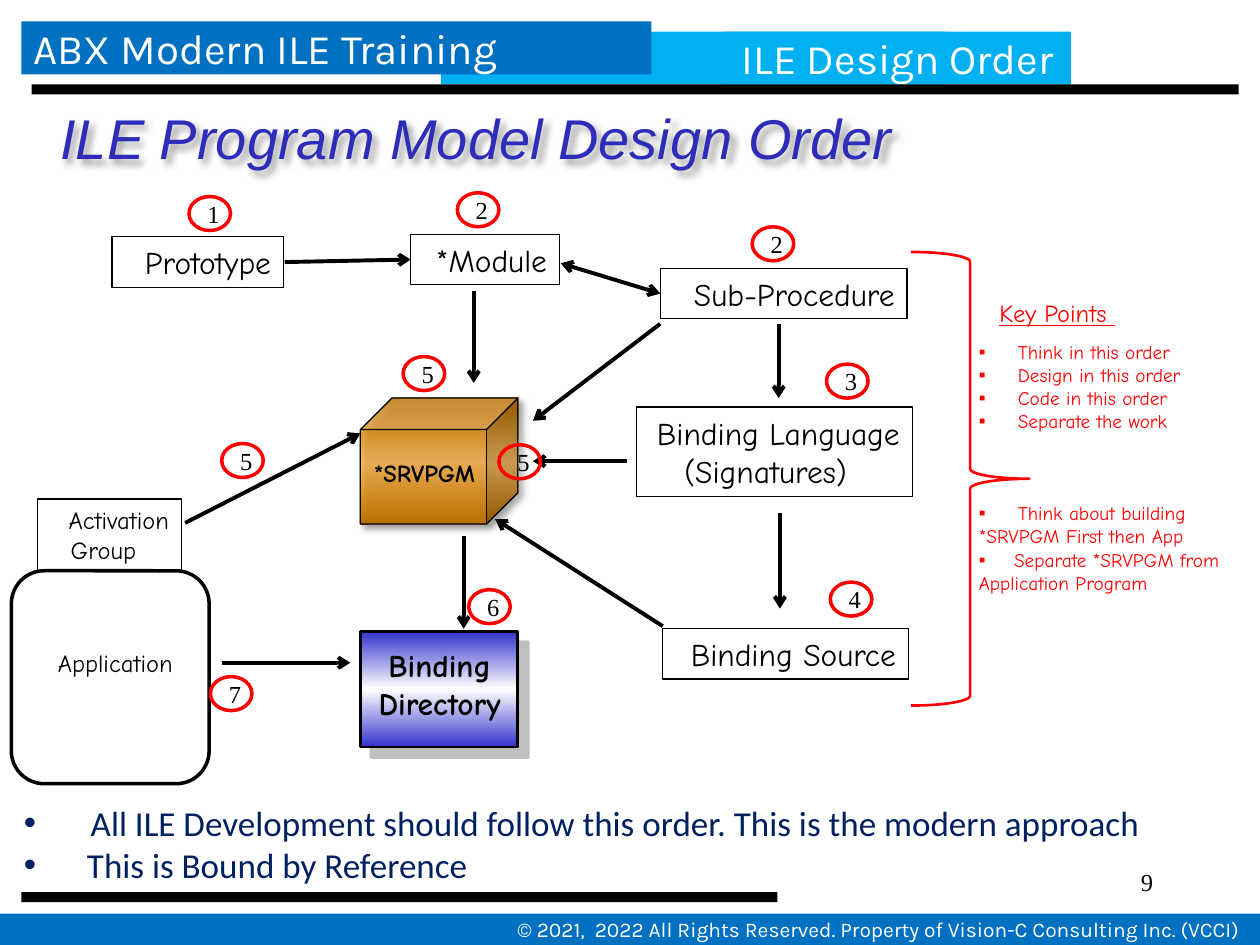
"""Builds the slide on the ILE program model design order."""
import lxml.etree
import pptx
import pptx.dml.color
import pptx.enum.shapes
import pptx.enum.text
import pptx.oxml
import pptx.oxml.ns
import pptx.util

KIND = pptx.enum.shapes.MSO_SHAPE
ALIGN = pptx.enum.text.PP_ALIGN
ANCHOR = pptx.enum.text.MSO_ANCHOR
Inches = pptx.util.Inches
Pt = pptx.util.Pt
LEFT, MID, RIGHT = ALIGN.LEFT, ALIGN.CENTER, ALIGN.RIGHT
COMIC, KARLA, TIMES = "Comic Neue", "Karla", "Times New Roman"
BLACK, WHITE, RED, NAVY, BLUE, SKY = "000000", "FFFFFF", "FF0000", "002060", "0070C0", "00B0F0"

TITLE = "ILE Program Model Design Order"
NOTES = [("All ILE Development should follow this order. This is the modern approach", 0.53),
         ("This is Bound by Reference", 0.5)]
BARS = [
    ((0, 7.25, 10, 0.25), BLUE, "© 2021,  2022 All Rights Reserved. Property of Vision-C Consulting Inc. (VCCI)", 12, RIGHT),
    ((0.17, 7.08, 6, 0.08), BLACK, "", 12, LEFT),
    ((3.5, 0.25, 4, 0.42), SKY, "", 24, LEFT),
    ((0.17, 0.17, 5, 0.42), BLUE, "ABX Modern ILE Training", 24, LEFT),
    ((5.75, 0.25, 2.75, 0.42), SKY, "ILE Design Order", 24, MID),
    ((0.25, 0.67, 9.58, 0.08), BLACK, "", 12, LEFT),
]
STEPS = [
    ((0.89, 1.88, 1.36, 0.4), [("Prototype", 0)], 18),
    ((3.26, 1.86, 1.18, 0.4), [("*Module", 0)], 18),
    ((5.24, 2.13, 1.96, 0.4), [("Sub-Procedure", 0)], 18),
    ((5.05, 3.23, 2.19, 0.71), [("Binding Language", 0), ("(Signatures)", 0.42)], 18),
    ((5.26, 4.99, 1.95, 0.4), [("Binding Source", 0)], 18),
    ((0.3, 3.96, 1.14, 0.57), [("Activation", 0), ("Group", 0.26)], 14),
]
LABELS = [
    ((7.17, 6.83, 2.08, 0.34), ["9"], 14, TIMES, BLACK, RIGHT, {}),
    ((0.25, 5.09, 1.22, 0.34), ["Application"], 14, COMIC, BLACK, RIGHT, {}),
    ((2.81, 5.07, 1.36, 0.71), ["Binding", "Directory"], 18, COMIC, BLACK, MID, {"bold": True}),
    ((2.77, 3.58, 1.2, 0.34), ["*SRVPGM"], 14, COMIC, BLACK, MID, {"bold": True}),
    ((7.79, 2.31, 1.2, 0.34), ["Key Points "], 14, COMIC, RED, MID, {"underline": True}),
]
ARROWS = [
    (2.26, 2.08, 3.26, 2.06), (4.45, 2.09, 5.24, 2.33), (3.76, 2.31, 3.76, 3.04),
    (5.24, 2.57, 4.23, 3.34), (6.18, 2.57, 6.18, 3.16), (6.19, 4.07, 6.19, 4.83),
    (4.98, 3.66, 4.23, 3.66), (5.26, 4.97, 3.93, 4.12), (3.68, 4.25, 3.68, 4.99),
    (1.76, 5.26, 2.78, 5.26), (1.47, 4.15, 2.86, 3.44),
]
TWO_WAY = ARROWS[1]
MARKS = [
    ("1", 1.5, 1.56), ("2", 3.63, 1.53), ("2", 5.97, 1.8), ("3", 6.56, 2.89), ("4", 6.59, 4.62),
    ("5", 3.96, 3.53), ("6", 3.72, 4.68), ("7", 1.67, 5.37), ("5", 1.76, 3.52), ("5", 3.2, 2.83),
]
POINTS = [
    ("Think in this order", 0.31, 0), ("Design in this order", 0.31, 0),
    ("Code in this order", 0.31, 0), ("Separate the work", 0.31, 0),
    ("Think about building", 0.31, 39.5), ("*SRVPGM First then App", 0, 0),
    ("Separate *SRVPGM from", 0.28, 0), ("Application Program", 0, 0),
]


def tint(color, code):
    color.rgb = pptx.dml.color.RGBColor.from_string(code)


def place(shape, at):
    shape.left, shape.top, shape.width, shape.height = map(Inches, at)


def block(slide, kind, at, fill=None, line=None, width=0.75):
    shape = slide.shapes.add_shape(kind, *map(Inches, at))
    shape.shadow.inherit = False
    if fill:
        shape.fill.solid()
        tint(shape.fill.fore_color, fill)
    else:
        shape.fill.background()
    if line:
        tint(shape.line.color, line)
        shape.line.width = Pt(width)
    else:
        shape.line.fill.background()
    return shape


def setup(shape, wrap=True, anchor=ANCHOR.MIDDLE):
    frame = shape.text_frame
    frame.word_wrap = wrap
    frame.auto_size = pptx.enum.text.MSO_AUTO_SIZE.NONE
    frame.vertical_anchor = anchor
    return frame


def write(frame, first, text, size, face, color, align=LEFT, **style):
    para = frame.paragraphs[0] if first else frame.add_paragraph()
    para.alignment = align
    para.space_before = Pt(0)
    run = para.add_run()
    run.text = text
    run.font.size, run.font.name = Pt(size), face
    tint(run.font.color, color)
    for name, value in style.items():
        setattr(run.font, name, value)
    return para


def bullet(para, sign, indent):
    props = para._p.get_or_add_pPr()
    props.set("marL", str(Inches(indent)))
    props.set("indent", str(-Inches(indent)))
    for tag, key, value in (("a:buFont", "typeface", "Arial"), ("a:buChar", "char", sign)):
        lxml.etree.SubElement(props, pptx.oxml.ns.qn(tag)).set(key, value)


def shade(shape, color, alpha, blur, dist):
    shape.shadow.inherit = False
    effects = shape._element.spPr.find(pptx.oxml.ns.qn("a:effectLst"))
    effects.append(pptx.oxml.parse_xml(
        f'<a:outerShdw {pptx.oxml.ns.nsdecls("a")} blurRad="{Pt(blur)}" dist="{Pt(dist)}" '
        f'dir="2700000" algn="tl" rotWithShape="0"><a:srgbClr val="{color}">'
        f'<a:alpha val="{alpha * 1000}"/></a:srgbClr></a:outerShdw>'))


def blend(shape, edge, core, alpha):
    stops = "".join(
        f'<a:gs pos="{pos}"><a:srgbClr val="{code}"><a:alpha val="{part * 1000}"/></a:srgbClr></a:gs>'
        for pos, code, part in ((0, edge, 100), (50000, core, alpha), (100000, edge, 100)))
    props = shape._element.spPr
    old = props.find(pptx.oxml.ns.qn("a:noFill"))
    props.replace(old, pptx.oxml.parse_xml(
        f'<a:gradFill {pptx.oxml.ns.nsdecls("a")} rotWithShape="1"><a:gsLst>{stops}</a:gsLst>'
        '<a:lin ang="5400000" scaled="1"/></a:gradFill>'))


def arrow(slide, ends):
    link = slide.shapes.add_connector(pptx.enum.shapes.MSO_CONNECTOR.STRAIGHT, *map(Inches, ends))
    tint(link.line.color, BLACK)
    link.line.width = Pt(2.25)
    tags = ("a:headEnd", "a:tailEnd") if ends == TWO_WAY else ("a:tailEnd",)
    for tag in tags:
        lxml.etree.SubElement(link.line._get_or_add_ln(), pptx.oxml.ns.qn(tag)).set("type", "arrow")
    lxml.etree.SubElement(link._element.spPr, pptx.oxml.ns.qn("a:effectLst"))


def main():
    deck = pptx.Presentation()
    deck.slide_width, deck.slide_height = Inches(10), Inches(7.5)
    slide = deck.slides.add_slide(deck.slide_layouts[1])
    title, body = slide.placeholders
    place(title, (0.38, 0.77, 6.85, 0.64))
    write(setup(title, False), True, TITLE, 32, "Arial", "2D2DB9", italic=True)
    shade(title, BLACK, 40, 4, 3)
    place(body, (0.09, 6.31, 9.58, 0.77))
    frame = setup(body, anchor=ANCHOR.TOP)
    for i, (text, indent) in enumerate(NOTES):
        bullet(write(frame, i == 0, text, 20, "Calibri", NAVY), "•", indent)

    block(slide, KIND.ROUNDED_RECTANGLE, (0.09, 4.53, 1.57, 1.69), WHITE, BLACK, 2)
    for at, fill, text, size, align in BARS:
        bar = block(slide, KIND.RECTANGLE, at, fill)
        if text:
            frame = setup(bar)
            write(frame, True, text, size, KARLA, WHITE, align)
            if align == RIGHT:
                frame.margin_right = Inches(0.16)

    store = block(slide, KIND.RECTANGLE, (2.86, 5.01, 1.25, 0.92), line=BLACK, width=1.5)
    blend(store, "3333CC", WHITE, 100)
    shade(store, "808080", 50, 0, 8.5)
    cube = block(slide, KIND.CUBE, (2.86, 3.16, 1.25, 1), line=BLACK)
    blend(cube, "B86F00", "FF9900", 56)
    shade(cube, BLACK, 40, 4, 3)

    for at, lines, size in STEPS:
        frame = setup(block(slide, KIND.RECTANGLE, at, line=BLACK))
        for i, (text, inset) in enumerate(lines):
            para = write(frame, i == 0, text, size, COMIC, BLACK, RIGHT)
            para._p.get_or_add_pPr().set("marR", str(Inches(inset)))
    for at, lines, size, face, color, align, style in LABELS:
        frame = setup(slide.shapes.add_textbox(*map(Inches, at)))
        for i, text in enumerate(lines):
            write(frame, i == 0, text, size, face, color, align, **style)
    for ends in ARROWS:
        arrow(slide, ends)

    block(slide, KIND.RIGHT_BRACE, (7.23, 2, 0.94, 3.6), line=RED, width=1.5)
    frame = setup(slide.shapes.add_textbox(*map(Inches, (7.67, 2.65, 2.3, 2.34))), anchor=ANCHOR.TOP)
    for i, (text, indent, gap) in enumerate(POINTS):
        para = write(frame, i == 0, text, 11, COMIC, RED)
        para.space_before = Pt(gap)
        if indent:
            bullet(para, "▪", indent)
    for text, left, top in MARKS:
        frame = setup(block(slide, KIND.OVAL, (left, top, 0.33, 0.27), line=RED, width=2), False)
        frame.margin_left = Inches(0.06)
        frame.margin_right = frame.margin_top = frame.margin_bottom = 0
        write(frame, True, text, 14, TIMES, BLACK, MID)
    deck.save("out.pptx")


if __name__ == "__main__":
    main()
